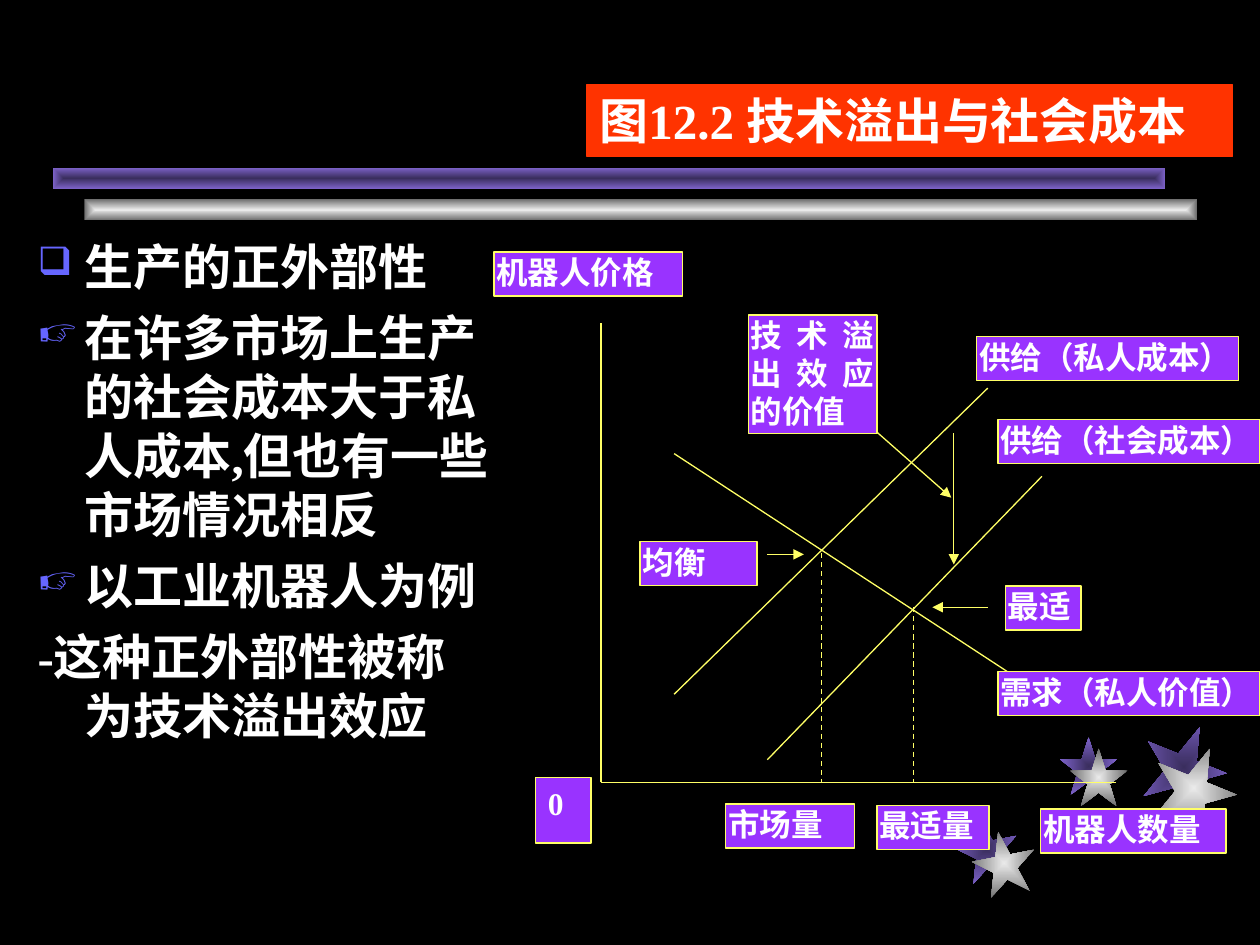
from dataclasses import dataclass

from lxml import etree
from pptx import Presentation
from pptx.dml.color import RGBColor
from pptx.enum.dml import MSO_LINE
from pptx.enum.shapes import MSO_CONNECTOR, MSO_SHAPE
from pptx.enum.text import MSO_ANCHOR, PP_ALIGN
from pptx.oxml.ns import qn
from pptx.util import Inches, Pt

RECT, STAR = MSO_SHAPE.RECTANGLE, MSO_SHAPE.STAR_5_POINT
STRAIGHT, DASH = MSO_CONNECTOR.STRAIGHT, MSO_LINE.DASH
TOP, MIDDLE = MSO_ANCHOR.TOP, MSO_ANCHOR.MIDDLE
LEFT, JUSTIFY = PP_ALIGN.LEFT, PP_ALIGN.JUSTIFY

FONT = "Times New Roman"
COLOR = {
    "back": "000000", "text": "FFFFFF", "label": "9933FF", "line": "FFFF66",
    "title": "FF3300", "bullet": "6666FF",
}
SHADE = {"violet": ("3A2E5E", "7E63CB"), "silver": ("EAEAEA", "6C6C6C")}

deck = Presentation()
deck.slide_width, deck.slide_height = Inches(10), Inches(7.5)
COLS = 100
CELL = deck.slide_width / COLS


@dataclass
class Box:
    col: float
    row: float
    wide: float
    high: float = 3.5


@dataclass
class Label:
    text: str
    box: Box
    pad: tuple = (0.2, 0.1)
    fill: str = "label"
    edge: str = "line"
    size: int = 18
    align: int = JUSTIFY
    anchor: int = TOP


@dataclass
class Line:
    start: tuple
    end: tuple
    dash: bool = False
    arrow: bool = False


@dataclass
class Deco:
    kind: int
    shade: str
    box: Box
    turn: int = 0


@dataclass
class Point:
    text: str
    mark: str = ""


def grid(cells: float) -> int:
    return round(cells * CELL)


def place(box: Box) -> tuple:
    return tuple(grid(n) for n in (box.col, box.row, box.wide, box.high))


def rgb(name: str) -> RGBColor:
    return RGBColor.from_string(COLOR[name])


def style(para, size: int) -> None:
    for run in para.runs:
        font = run.font
        font.name, font.size, font.bold = FONT, Pt(size), True
        font.color.rgb = rgb("text")


def inset(frame, pad: tuple) -> None:
    frame.word_wrap = True
    frame.margin_left = frame.margin_right = grid(pad[0])
    frame.margin_top = frame.margin_bottom = grid(pad[1])


def draw_deco(slide, deco: Deco) -> None:
    shape = slide.shapes.add_shape(deco.kind, *place(deco.box))
    shape.shadow.inherit = False
    shape.rotation = deco.turn
    shape.line.fill.background()
    shape.fill.gradient()
    for stop, tone, at in zip(shape.fill.gradient_stops, SHADE[deco.shade], (0, 1)):
        stop.color.rgb = RGBColor.from_string(tone)
        stop.position = at
    grad = shape._element.spPr.find(qn("a:gradFill"))
    grad.remove(grad.find(qn("a:lin")))
    way = etree.SubElement(grad, qn("a:path"), path="rect")
    etree.SubElement(way, qn("a:fillToRect"), dict.fromkeys("ltrb", "50000"))


def draw_line(slide, line: Line) -> None:
    ends = [grid(n) for n in (*line.start, *line.end)]
    wire = slide.shapes.add_connector(STRAIGHT, *ends)
    wire.line.color.rgb = rgb("line")
    wire.line.width = Pt(0.75)
    if line.dash:
        wire.line.dash_style = DASH
    if line.arrow:
        etree.SubElement(wire.line._get_or_add_ln(), qn("a:tailEnd"), type="triangle")
    etree.SubElement(wire._element.spPr, qn("a:effectLst"))


def draw_label(slide, label: Label) -> None:
    shape = slide.shapes.add_shape(RECT, *place(label.box))
    shape.shadow.inherit = False
    shape.fill.solid()
    shape.fill.fore_color.rgb = rgb(label.fill)
    shape.line.color.rgb = rgb(label.edge)
    shape.line.width = Pt(0.75)
    frame = shape.text_frame
    inset(frame, label.pad)
    frame.vertical_anchor = label.anchor
    frame.text = label.text
    para = frame.paragraphs[0]
    para.alignment = label.align
    style(para, label.size)


def draw_points(slide, box: Box, points: list[Point]) -> None:
    frame = slide.shapes.add_textbox(*place(box)).text_frame
    inset(frame, (1, 0.5))
    for i, point in enumerate(points):
        para = frame.add_paragraph() if i else frame.paragraphs[0]
        para.text = point.text
        props = para._p.get_or_add_pPr()
        props.set("marL", str(grid(3.75)))
        props.set("indent", str(-grid(3.75)))
        if point.mark:
            tint = etree.SubElement(props, qn("a:buClr"))
            etree.SubElement(tint, qn("a:srgbClr"), val=COLOR["bullet"])
            etree.SubElement(props, qn("a:buSzPct"), val="80000")
            etree.SubElement(props, qn("a:buChar"), char=point.mark)
        else:
            etree.SubElement(props, qn("a:buNone"))
        if i:
            para.space_before = Pt(7)
        style(para, 28)


DECOS = [
    Deco(STAR, "violet", Box(75.8, 64.9, 5, 5), 349),
    Deco(STAR, "violet", Box(84.1, 58.5, 4.6, 4.6)),
    Deco(STAR, "violet", Box(90.6, 57.5, 6.7, 6.7), 22),
    Deco(STAR, "silver", Box(77.2, 66, 5, 5), 349),
    Deco(STAR, "silver", Box(84.9, 59.4, 4.6, 4.6)),
    Deco(STAR, "silver", Box(91.4, 59.2, 6.7, 6.7), 22),
    Deco(RECT, "silver", Box(6.7, 15.8, 88.3, 1.7)),
    Deco(RECT, "violet", Box(4.2, 13.3, 88.3, 1.7)),
]
ORIGIN = (47.7, 62.1)
LINES = [
    Line(ORIGIN, (88.6, 62.1)),
    Line(ORIGIN, (47.7, 25.6)),
    Line((53.5, 36), (82.7, 55.1)),
    Line((53.5, 55.1), (78.4, 30.8)),
    Line((60.9, 60.3), (82.7, 37.8)),
    Line((72.5, 48.2), (72.5, 62.1), dash=True),
    Line((65.2, 43.9), (65.2, 62.1), dash=True),
    Line((78.4, 48.2), (74, 48.2), arrow=True),
    Line((60.9, 44), (63.8, 44), arrow=True),
    Line((69.6, 34.3), (75.5, 39.5), arrow=True),
    Line((75.7, 34.4), (75.7, 44.8), arrow=True),
]
LABELS = [
    Label("0", Box(42.5, 61.7, 4.4, 5.2), (1, 0.5)),
    Label("机器人数量", Box(82.6, 64.2, 14.7)),
    Label("机器人价格", Box(39.2, 20, 15)),
    Label("供给（私人成本）", Box(77.5, 26.7, 20.8)),
    Label("供给（社会成本）", Box(79.2, 33.3, 20.8)),
    Label("需求（私人价值）", Box(79.2, 53.3, 20.8)),
    Label("市场量", Box(57.6, 63.8, 10.2)),
    Label("最适量", Box(69.6, 63.9, 8.9)),
    Label("均衡", Box(50.8, 43, 9.3)),
    Label("最适", Box(79.8, 46.5, 6)),
    Label("技术溢出效应的价值", Box(59.4, 25, 10.2, 9.4)),
    Label("图12.2 技术溢出与社会成本", Box(46.6, 6.7, 51.2, 5.7), (1, 0.5),
          "title", "title", 28, LEFT, MIDDLE),
]
POINTS = [
    Point("生产的正外部性", "❑"),
    Point("在许多市场上生产的社会成本大于私人成本,但也有一些市场情况相反", "☞"),
    Point("以工业机器人为例", "☞"),
    Point("-这种正外部性被称为技术溢出效应"),
]


def main() -> None:
    slide = deck.slides.add_slide(deck.slide_layouts[6])
    slide.background.fill.solid()
    slide.background.fill.fore_color.rgb = rgb("back")
    for deco in DECOS:
        draw_deco(slide, deco)
    draw_points(slide, Box(2, 18.3, 37.8, 48.3), POINTS)
    for line in LINES:
        draw_line(slide, line)
    for label in LABELS:
        draw_label(slide, label)
    deck.save("out.pptx")


if __name__ == "__main__":
    main()
